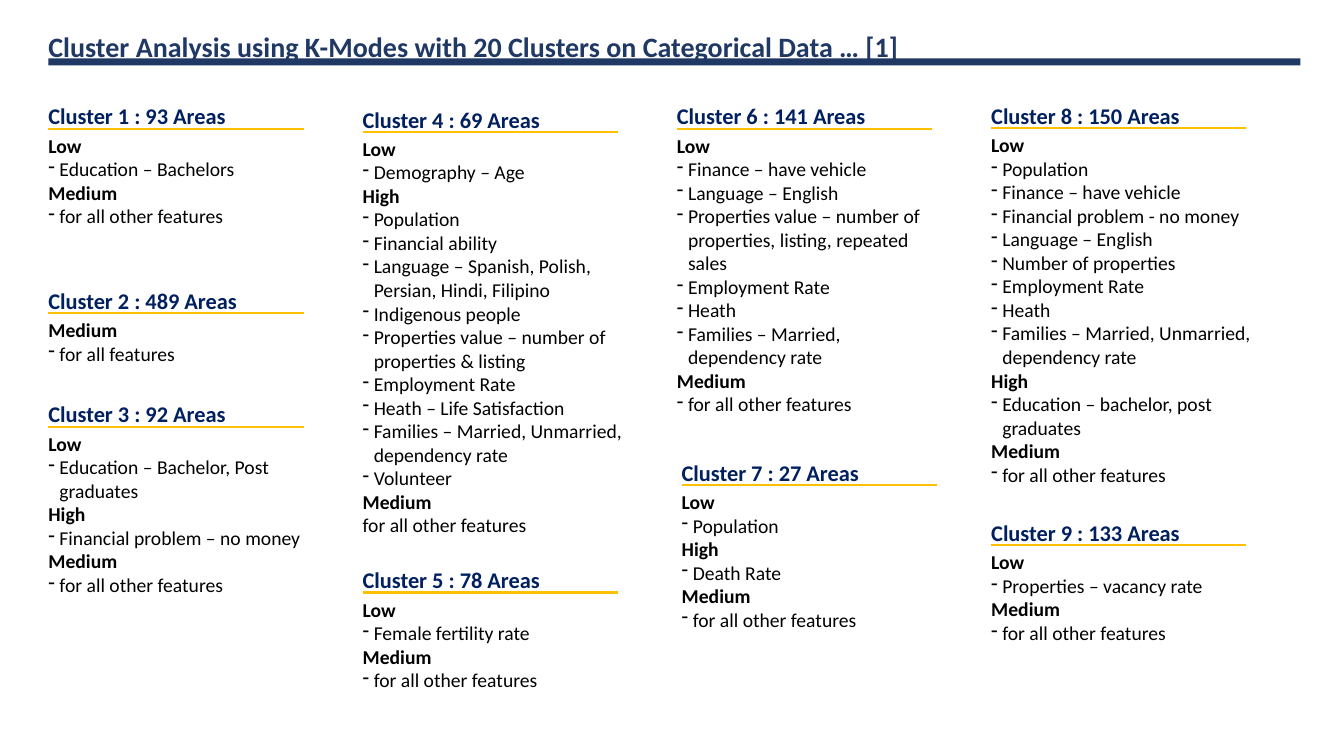
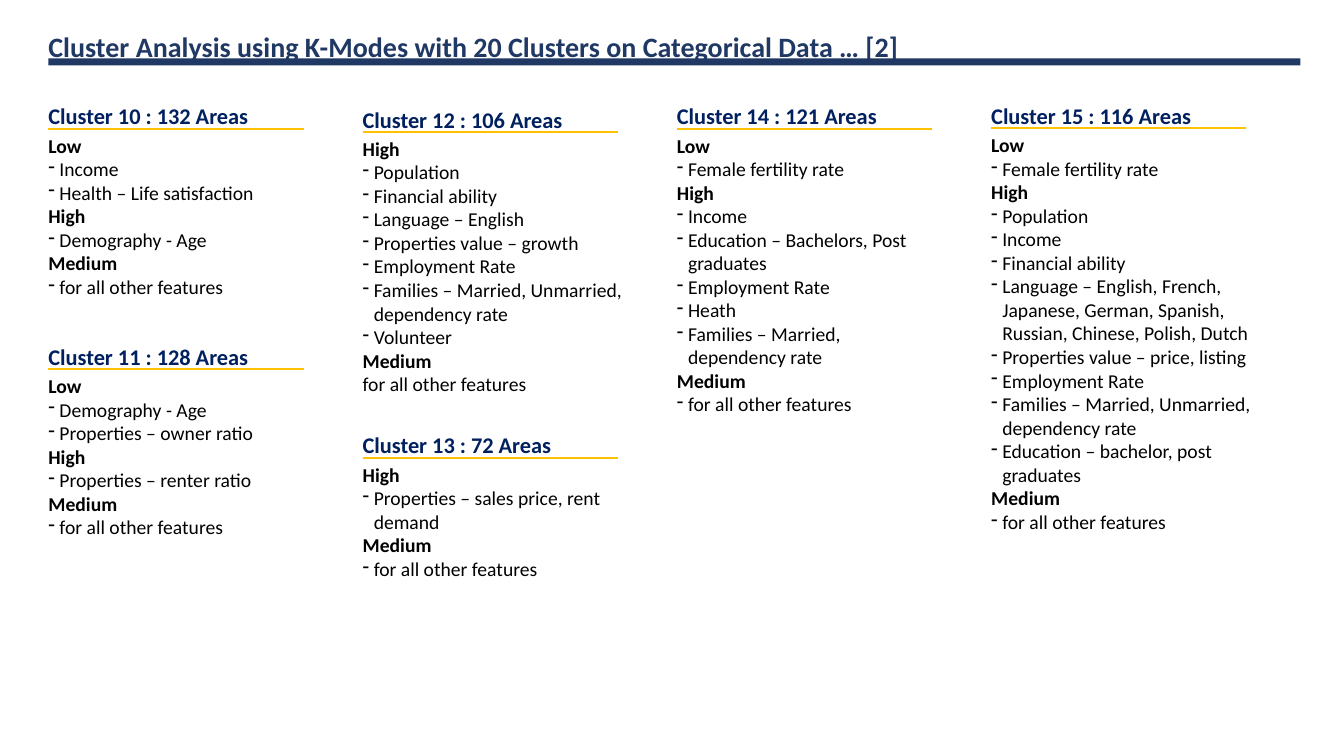
"""Build two slides that list the K-Modes clusters and their defining features."""
from dataclasses import dataclass

from lxml import etree
from pptx import Presentation
from pptx import util as u
from pptx.dml.color import RGBColor
from pptx.enum import shapes, text
from pptx.oxml.ns import qn

FONT = "Calibri"
TITLE, HEADING, BODY, RULE = "203864", "002060", "000000", "FFC000"
LEVELS = ("Low", "Medium", "High")
LEFT, COLUMN_PITCH, BOX_WIDTH = 0.97, 7.92, 7.05
INSET, RULE_WIDTH, RULE_DROP = 0.25, 6.43, 0.78
HEADING_HEIGHT, ROW_HEIGHT, HANG = 0.94, 0.6, 0.28


@dataclass(frozen=True)
class Cluster:
    heading: str
    column: int
    top: float
    rows: int
    lines: tuple[str, ...]
    shift: float = 0


FIRST = (
    Cluster("Cluster 1 : 93 Areas", 0, 2.46, 4, (
        "Low", "- Education – Bachelors",
        "Medium", "- for all other features")),
    Cluster("Cluster 2 : 489 Areas", 0, 7.11, 2, (
        "Medium", "- for all features")),
    Cluster("Cluster 3 : 92 Areas", 0, 9.97, 7, (
        "Low", "- Education – Bachelor, Post graduates",
        "High", "- Financial problem – no money",
        "Medium", "- for all other features")),
    Cluster("Cluster 4 : 69 Areas", 1, 2.54, 17, (
        "Low", "- Demography – Age",
        "High", "- Population", "- Financial ability",
        "- Language – Spanish, Polish, Persian, Hindi, Filipino",
        "- Indigenous people",
        "- Properties value – number of properties & listing",
        "- Employment Rate", "- Heath – Life Satisfaction",
        "- Families – Married, Unmarried, dependency rate", "- Volunteer",
        "Medium", "for all other features")),
    Cluster("Cluster 5 : 78 Areas", 1, 14.15, 4, (
        "Low", "- Female fertility rate",
        "Medium", "- for all other features")),
    Cluster("Cluster 6 : 141 Areas", 2, 2.46, 12, (
        "Low", "- Finance – have vehicle", "- Language – English",
        "- Properties value – number of properties, listing, repeated sales",
        "- Employment Rate", "- Heath",
        "- Families – Married, dependency rate",
        "Medium", "- for all other features")),
    Cluster("Cluster 7 : 27 Areas", 2, 11.44, 6, (
        "Low", "- Population",
        "High", "- Death Rate",
        "Medium", "- for all other features"), shift=0.12),
    Cluster("Cluster 8 : 150 Areas", 3, 2.45, 15, (
        "Low", "- Population", "- Finance – have vehicle",
        "- Financial problem - no money", "- Language – English",
        "- Number of properties", "- Employment Rate", "- Heath",
        "- Families – Married, Unmarried, dependency rate",
        "High", "- Education – bachelor, post graduates",
        "Medium", "- for all other features")),
    Cluster("Cluster 9 : 133 Areas", 3, 12.96, 4, (
        "Low", "- Properties – vacancy rate",
        "Medium", "- for all other features")),
)

SECOND = (
    Cluster("Cluster 10 : 132 Areas", 0, 2.46, 7, (
        "Low", "- Income", "- Health – Life satisfaction",
        "High", "- Demography - Age",
        "Medium", "- for all other features")),
    Cluster("Cluster 11 : 128 Areas", 0, 8.52, 7, (
        "Low", "- Demography - Age", "- Properties – owner ratio",
        "High", "- Properties – renter ratio",
        "Medium", "- for all other features")),
    Cluster("Cluster 12 : 106 Areas", 1, 2.54, 11, (
        "High", "- Population", "- Financial ability", "- Language – English",
        "- Properties value – growth", "- Employment Rate",
        "- Families – Married, Unmarried, dependency rate", "- Volunteer",
        "Medium", "for all other features")),
    Cluster("Cluster 13 : 72 Areas", 1, 10.75, 5, (
        "High", "- Properties – sales price, rent demand",
        "Medium", "- for all other features")),
    Cluster("Cluster 14 : 121 Areas", 2, 2.46, 12, (
        "Low", "- Female fertility rate",
        "High", "- Income", "- Education – Bachelors, Post graduates",
        "- Employment Rate", "- Heath",
        "- Families – Married, dependency rate",
        "Medium", "- for all other features")),
    Cluster("Cluster 15 : 116 Areas", 3, 2.45, 17, (
        "Low", "- Female fertility rate",
        "High", "- Population", "- Income", "- Financial ability",
        "- Language – English, French, Japanese, German, Spanish, Russian, "
        "Chinese, Polish, Dutch",
        "- Properties value – price, listing", "- Employment Rate",
        "- Families – Married, Unmarried, dependency rate",
        "- Education – bachelor, post graduates",
        "Medium", "- for all other features")),
)


def rgb(value: str) -> RGBColor:
    return RGBColor.from_string(value)


def add_run(p, content: str, size: float, color: str, bold: bool) -> None:
    r = p.add_run()
    r.text = content
    r.font.name = FONT
    r.font.size = u.Pt(size)
    r.font.bold = bold
    r.font.color.rgb = rgb(color)


def add_box(parent, left: float, top: float, width: float, height: float):
    sp = parent.shapes.add_textbox(u.Cm(left), u.Cm(top), u.Cm(width), u.Cm(height))
    tf = sp.text_frame
    tf.word_wrap = True
    return tf


def add_dash(p) -> None:
    pPr = p._p.get_or_add_pPr()
    pPr.set("marL", str(u.Cm(HANG)))
    pPr.set("indent", str(-u.Cm(HANG)))
    etree.SubElement(pPr, qn("a:buChar")).set("char", "-")


def draw_title(s, title: str) -> None:
    tf = add_box(s, LEFT, 0.61, 30, 0.86)
    add_run(tf.paragraphs[0], title, 20, TITLE, True)
    band = s.shapes.add_shape(shapes.MSO_SHAPE.RECTANGLE, u.Cm(LEFT + INSET),
                              u.Cm(1.47), u.Cm(31.55), u.Cm(0.18))
    band.shadow.inherit = False
    band.fill.solid()
    band.fill.fore_color.rgb = rgb(TITLE)
    band.line.fill.background()


def draw_cluster(s, cluster: Cluster) -> None:
    group = s.shapes.add_group_shape()
    left = LEFT + cluster.column * COLUMN_PITCH + cluster.shift
    rule_y = cluster.top + RULE_DROP

    tf = add_box(group, left, cluster.top, BOX_WIDTH, HEADING_HEIGHT)
    tf.auto_size = text.MSO_AUTO_SIZE.SHAPE_TO_FIT_TEXT
    add_run(tf.paragraphs[0], cluster.heading, 16, HEADING, True)

    tf = add_box(group, left, rule_y, BOX_WIDTH, INSET + cluster.rows * ROW_HEIGHT)
    tf.auto_size = text.MSO_AUTO_SIZE.SHAPE_TO_FIT_TEXT
    for i, line in enumerate(cluster.lines):
        p = tf.add_paragraph() if i else tf.paragraphs[0]
        if line.startswith("- "):
            add_dash(p)
        add_run(p, line.removeprefix("- "), 14, BODY, line in LEVELS)

    rule = group.shapes.add_connector(
        shapes.MSO_CONNECTOR.STRAIGHT, u.Cm(left + INSET), u.Cm(rule_y),
        u.Cm(left + INSET + RULE_WIDTH), u.Cm(rule_y))
    rule.line.color.rgb = rgb(RULE)
    rule.line.width = u.Pt(1.5)
    etree.SubElement(rule._element.spPr, qn("a:effectLst"))


def main() -> None:
    prs = Presentation()
    prs.slide_width, prs.slide_height = u.Cm(33.87), u.Cm(19.05)
    for number, clusters in enumerate((FIRST, SECOND), start=1):
        s = prs.slides.add_slide(prs.slide_layouts[6])
        draw_title(s, "Cluster Analysis using K-Modes with 20 Clusters "
                      f"on Categorical Data … [{number}]")
        for cluster in clusters:
            draw_cluster(s, cluster)
    prs.save("out.pptx")


if __name__ == "__main__":
    main()
